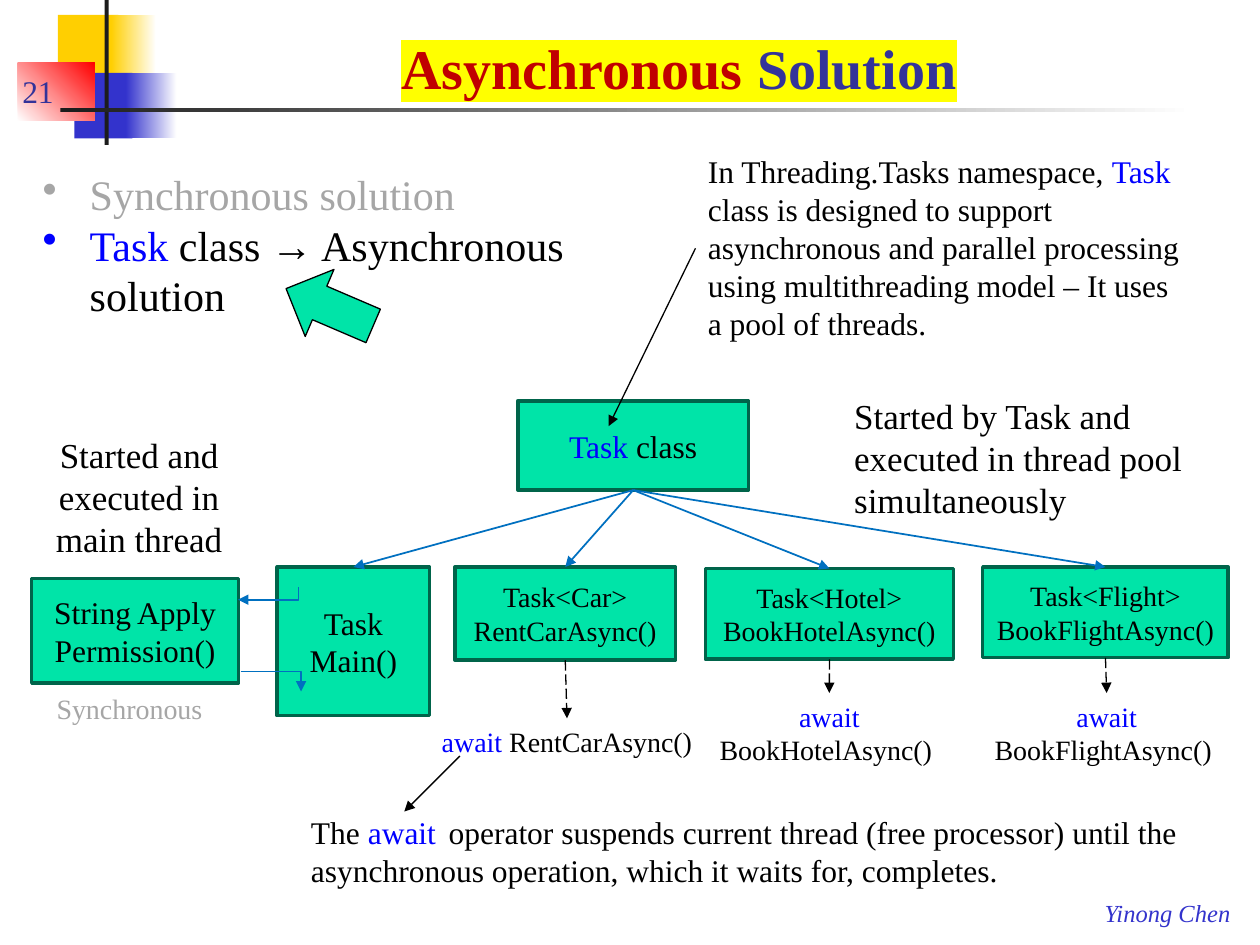
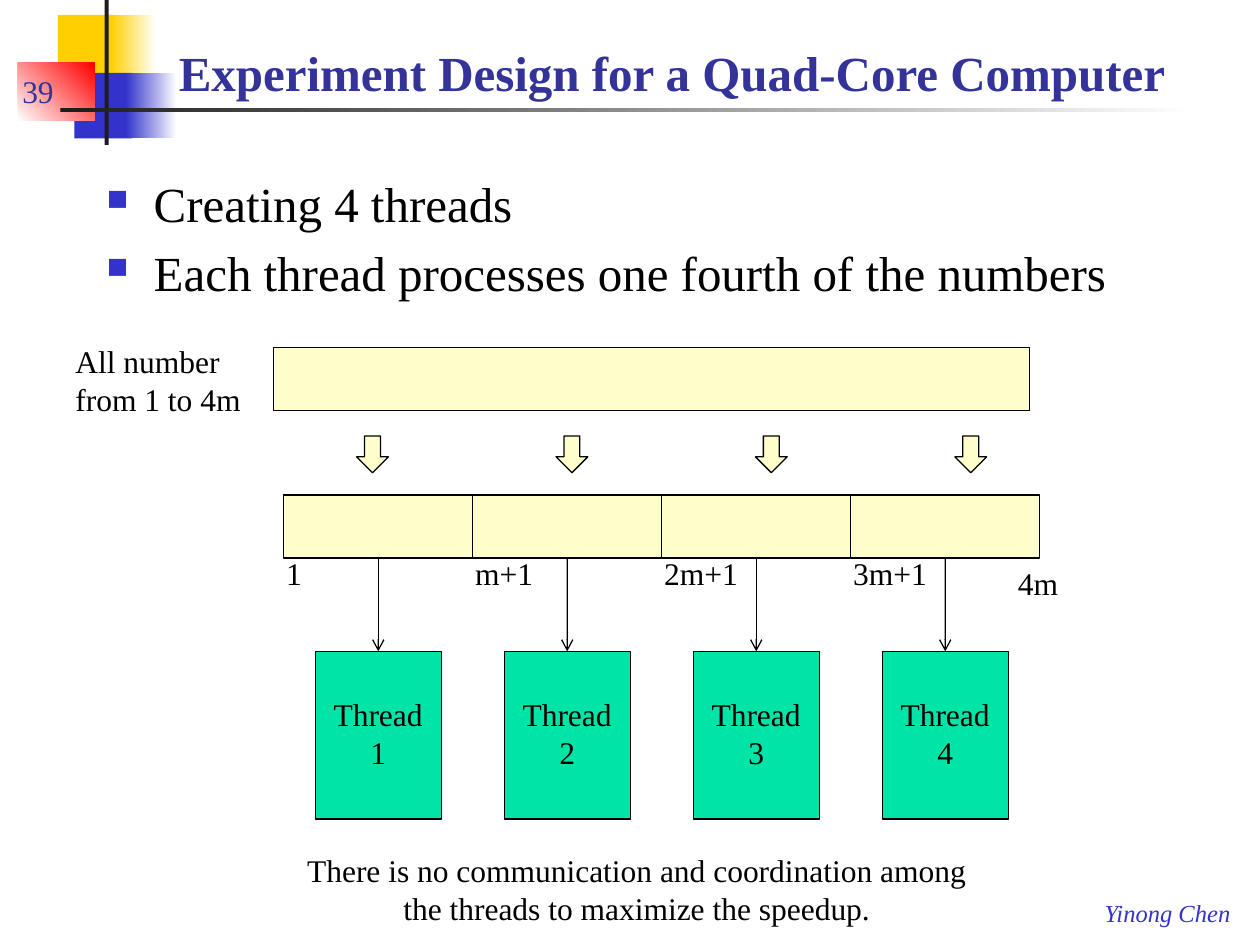
from lxml.etree import SubElement
from pptx import Presentation
from pptx.dml.color import RGBColor
from pptx.enum.dml import MSO_LINE
from pptx.enum.shapes import MSO_CONNECTOR, MSO_SHAPE
from pptx.enum.text import MSO_ANCHOR, PP_ALIGN
from pptx.oxml.ns import qn
from pptx.util import Cm, Pt

FONT = "Times New Roman"
BLACK, WHITE, INK, GREY = "000000", "FFFFFF", "1C1C1C", "A6A6A6"
BLUE, NAVY, INDIGO, ARROW_BLUE = "0000FF", "333399", "3333CC", "0070C0"
GOLD, RED, DARK_RED, HIGHLIGHT = "FFCF01", "FF0000", "C00000", "FFFF00"
GREEN, DARK_GREEN, CREAM = "00E4A8", "00644A", "FFFFCC"
TOP, LEFT, BOTTOM = 0, 1, 2
CENTER, MIDDLE, LOW = PP_ALIGN.CENTER, MSO_ANCHOR.MIDDLE, MSO_ANCHOR.BOTTOM

# Places are (left, top, width, height) in centimetres.
# Text is a list of paragraphs; a paragraph is a list of (text, colour, options) runs.
BAND = [  # place, colours (two make a gradient), angle
    ((1.17, 0.3, 1.22, 1.32), [GOLD], 0),
    ((2.24, 0.3, 0.91, 1.32), [GOLD, WHITE], 0),
    ((1.5, 1.47, 1.17, 1.32), [INDIGO], 0),
    ((2.54, 1.47, 1.02, 1.32), [INDIGO, WHITE], 0),
    ((0.36, 1.27, 1.55, 1.17), [WHITE, RED], 45),
    ((2.11, 0, 0.08, 2.92), [INK], 0),
    ((1.22, 2.18, 22.86, 0.08), [INK, WHITE], 0),
]
FOOTER = "Yinong Chen"

ASYNC_TITLE = [("Asynchronous", DARK_RED, {"bold": True, "highlight": HIGHLIGHT}),
               (" Solution", NAVY, {"bold": True, "highlight": HIGHLIGHT})]
ASYNC_POINTS = [[("Synchronous solution", GREY)],
                [("Task", BLUE), (" class → Asynchronous solution", BLACK)]]
TASK_CLASS = ((10.44, 8.08, 4.65, 1.8), [[("Task", BLUE), (" class", BLACK)]])
MAIN = ((5.59, 11.43, 3.07, 3), "Task Main()")
PERMISSION = ((0.64, 11.66, 4.17, 2.11), "String Apply\nPermission()")
BOOKINGS = [  # box, caption, place of the await text, awaited call
    ((9.17, 11.43, 4.45, 1.88), "Task<Car> RentCarAsync()",
     (8.61, 14.48, 5.64, 0.94), "RentCarAsync() "),
    ((14.22, 11.46, 5, 1.83), "Task<Hotel> BookHotelAsync()",
     (13.94, 13.97, 5.56, 1.63), "BookHotelAsync() "),
    ((19.81, 11.43, 4.95, 1.83), "Task<Flight> BookFlightAsync()",
     (19.53, 13.97, 5.56, 1.63), "BookFlightAsync() "),
]
NAMESPACE = ((14.02, 2.95, 10.08, 4.11), [[
    ("In Threading.Tasks namespace, ", BLACK), ("Task", BLUE),
    (" class is designed to support asynchronous and parallel processing using "
     "multithreading model – It uses a pool of threads.", BLACK)]])
AWAIT_NOTE = ((6.02, 16.26, 19.3, 1.8), [[
    ("The ", BLACK), ("await", BLUE), (" ", BLACK, {"font": "Courier New", "size": 12}),
    ("operator suspends current thread (free processor) until the asynchronous "
     "operation, which it waits for, completes.", BLACK)]])
CALL_PATHS = [[(6.02, 11.84), (6.02, 12.09), (4.8, 12.09)],
              [(4.85, 13.54), (6.07, 13.54), (6.07, 13.94)]]

EXPERIMENT_TITLE = [("Experiment Design for a Quad-Core Computer", NAVY, {"bold": True})]
EXPERIMENT_POINTS = [[("Creating 4 threads", BLACK)],
                     [("Each thread processes one fourth of the numbers", BLACK)]]
QUARTER_STARTS = ["1", "m+1", "2m+1", "3m+1"]
QUARTER_LEFT, QUARTER_WIDTH = 5.72, 3.81
THREAD_WIDTH = 2.54
DOWN_LEFT, DOWN_STEP = 7.19, 4.02


def rgb(code):
    return RGBColor.from_string(code)


def lengths(values):
    return [Cm(value) for value in values]


def plain(text, colour=BLACK):
    """Text of one paragraph with one run."""
    return [[(text, colour)]]


def add_span(para, size, text, colour, options=None):
    options = options or {}
    for index, piece in enumerate(text.split("\n")):
        if index:
            para.add_line_break()
        span = para.add_run()
        span.text = piece
        font = span.font
        font.name = options.get("font", FONT)
        font.size = Pt(options.get("size", size))
        font.bold = options.get("bold", False)
        font.italic = options.get("italic", False)
        font.color.rgb = rgb(colour)
        if "highlight" in options:
            fill = span._r.rPr.find(qn("a:solidFill"))
            mark = SubElement(span._r.rPr, qn("a:highlight"))
            SubElement(mark, qn("a:srgbClr"), val=options["highlight"])
            fill.addnext(mark)


def write(shape, paragraphs, size=18, align=PP_ALIGN.LEFT, anchor=MSO_ANCHOR.TOP, wrap=True):
    frame = shape.text_frame
    frame.word_wrap = wrap
    frame.vertical_anchor = anchor
    for index, runs in enumerate(paragraphs):
        para = frame.add_paragraph() if index else frame.paragraphs[0]
        para.alignment = align
        for run in runs:
            add_span(para, size, *run)


def add_text(slide, place, paragraphs, **style):
    box = slide.shapes.add_textbox(*lengths(place))
    write(box, paragraphs, **style)
    return box


def add_bullets(box, symbol, colour=None, percent=100, before=0):
    for para in box.text_frame.paragraphs:
        para.space_before = Pt(before)
        properties = para._p.get_or_add_pPr()
        properties.set("marL", str(Cm(0.95)))
        properties.set("indent", str(-Cm(0.95)))
        if colour:
            SubElement(SubElement(properties, qn("a:buClr")), qn("a:srgbClr"), val=colour)
        SubElement(properties, qn("a:buSzPct"), val=str(percent * 1000))
        SubElement(properties, qn("a:buChar"), char=symbol)


def add_block(slide, place, fill, line=BLACK, weight=0.75, kind=MSO_SHAPE.RECTANGLE):
    block = slide.shapes.add_shape(kind, *lengths(place))
    block.shadow.inherit = False
    block.fill.solid()
    block.fill.fore_color.rgb = rgb(fill)
    block.line.color.rgb = rgb(line)
    block.line.width = Pt(weight)
    return block


def add_task(slide, place, paragraphs, size=18):
    block = add_block(slide, place, GREEN, DARK_GREEN, 2)
    write(block, paragraphs, size=size, align=CENTER, anchor=MIDDLE)
    return block


def style_arrow(arrow, colour, weight, tip="triangle", dash=None):
    arrow.line.color.rgb = rgb(colour)
    arrow.line.width = Pt(weight)
    if dash:
        arrow.line.dash_style = dash
    SubElement(arrow.line._get_or_add_ln(), qn("a:tailEnd"), type=tip)


def add_arrow(slide, start, end, colour=BLACK, weight=0.75, **style):
    """Each end is a point in centimetres or a (shape, side) pair to join."""
    arrow = slide.shapes.add_connector(MSO_CONNECTOR.STRAIGHT, 0, 0, 0, 0)
    if isinstance(start[0], (int, float)):
        arrow.begin_x, arrow.begin_y = lengths(start)
    else:
        arrow.begin_connect(*start)
    if isinstance(end[0], (int, float)):
        arrow.end_x, arrow.end_y = lengths(end)
    else:
        arrow.end_connect(*end)
    style_arrow(arrow, colour, weight, **style)
    SubElement(arrow._element.spPr, qn("a:effectLst"))


def add_path(slide, points):
    start, *others = [lengths(point) for point in points]
    builder = slide.shapes.build_freeform(*start)
    builder.add_line_segments(others, close=False)
    bend = builder.convert_to_shape()
    bend.shadow.inherit = False
    bend.fill.background()
    style_arrow(bend, ARROW_BLUE, 1)


def add_framed_slide(deck, number, title, title_place, title_size):
    """Blank slide with the corner band, footer, page number and title."""
    slide = deck.slides.add_slide(deck.slide_layouts[6])
    for place, colours, angle in BAND:
        piece = add_block(slide, place, colours[0])
        piece.line.fill.background()
        if len(colours) > 1:
            piece.fill.gradient()
            piece.fill.gradient_angle = angle
            for stop, colour in zip(piece.fill.gradient_stops, colours):
                stop.color.rgb = rgb(colour)
    add_text(slide, (22.02, 17.98, 3.05, 0.86), [[(FOOTER, INDIGO, {"italic": True})]],
             size=14, wrap=False)
    add_text(slide, title_place, [title], size=title_size, align=CENTER, anchor=LOW)
    add_text(slide, (0.2, 1.07, 2.16, 1.27), plain(number, NAVY), anchor=LOW)
    return slide


def build_async_slide(deck):
    slide = add_framed_slide(deck, "21", ASYNC_TITLE, (2.21, 0.43, 22.96, 1.73), 32)
    points = add_text(slide, (0.61, 3.28, 11.43, 3.33), ASYNC_POINTS, size=24)
    add_bullets(points, "•")
    pointer = add_block(slide, (5.69, 5.46, 1.91, 1.47), GREEN, kind=MSO_SHAPE.LEFT_ARROW)
    pointer.rotation = 23.2

    task_class = add_task(slide, *TASK_CLASS)
    main = add_task(slide, MAIN[0], plain(MAIN[1]))
    add_task(slide, PERMISSION[0], plain(PERMISSION[1]))
    add_arrow(slide, (task_class, BOTTOM), (main, TOP), ARROW_BLUE, 1)
    for place, caption, await_place, call in BOOKINGS:
        booking = add_task(slide, place, plain(caption), size=16)
        awaited = add_text(slide, await_place, [[("await ", BLUE), (call, BLACK)]],
                           size=16, align=CENTER)
        add_arrow(slide, (task_class, BOTTOM), (booking, TOP), ARROW_BLUE, 1)
        add_arrow(slide, (booking, BOTTOM), (awaited, TOP), dash=MSO_LINE.LONG_DASH)
    for points in CALL_PATHS:
        add_path(slide, points)

    add_text(slide, (0.66, 8.61, 4.29, 2.82), plain("Started and executed in main thread"),
             size=20, align=CENTER)
    add_text(slide, (16.97, 7.82, 7.42, 2.82),
             plain("Started by Task and executed in thread pool simultaneously"), size=20)
    add_text(slide, (0.89, 13.82, 3.89, 0.94), plain("Synchronous", GREY), size=16)
    namespace = add_text(slide, *NAMESPACE)
    add_arrow(slide, (namespace, LEFT), (12.27, 8.59))
    add_text(slide, *AWAIT_NOTE)
    add_arrow(slide, (9.27, 15.24), (8.15, 16.36))


def build_experiment_slide(deck):
    slide = add_framed_slide(deck, "39", EXPERIMENT_TITLE, (1.9, 0.43, 23.29, 1.73), 28)
    points = add_text(slide, (1.9, 3.38, 22.96, 3.38), EXPERIMENT_POINTS, size=28)
    add_bullets(points, "■", INDIGO, 60, before=5.6)
    add_text(slide, (1.27, 6.78, 4.24, 1.8), plain("All number from 1 to 4m"))
    add_block(slide, (5.51, 7.01, 4 * QUARTER_WIDTH, 1.27), CREAM)

    for index, first_number in enumerate(QUARTER_STARTS):
        left = QUARTER_LEFT + index * QUARTER_WIDTH
        add_block(slide, (DOWN_LEFT + index * DOWN_STEP, 8.79, 0.64, 0.74), CREAM,
                  kind=MSO_SHAPE.DOWN_ARROW)
        quarter = add_block(slide, (left, 9.98, QUARTER_WIDTH, 1.27), CREAM)
        add_text(slide, (left - 0.2, 11.05, 2, 1.02), plain(first_number))
        thread_left = left + (QUARTER_WIDTH - THREAD_WIDTH) / 2
        thread = add_block(slide, (thread_left, 13.13, THREAD_WIDTH, 3.38), GREEN)
        write(thread, plain(f"Thread {index + 1}"), align=CENTER)
        thread.text_frame.margin_top = Cm(0.88)
        add_arrow(slide, (quarter, BOTTOM), (thread, TOP), tip="arrow")

    add_text(slide, (20.27, 11.25, 1.32, 1.02), plain("4m"), wrap=False)
    add_text(slide, (5.51, 17.04, 14.66, 1.8),
             plain("There is no communication and coordination among "
                   "the threads to maximize the speedup."), align=CENTER)


def main():
    deck = Presentation()
    deck.slide_width, deck.slide_height = Cm(25.4), Cm(19.05)
    build_async_slide(deck)
    build_experiment_slide(deck)
    deck.save("out.pptx")


if __name__ == "__main__":
    main()
